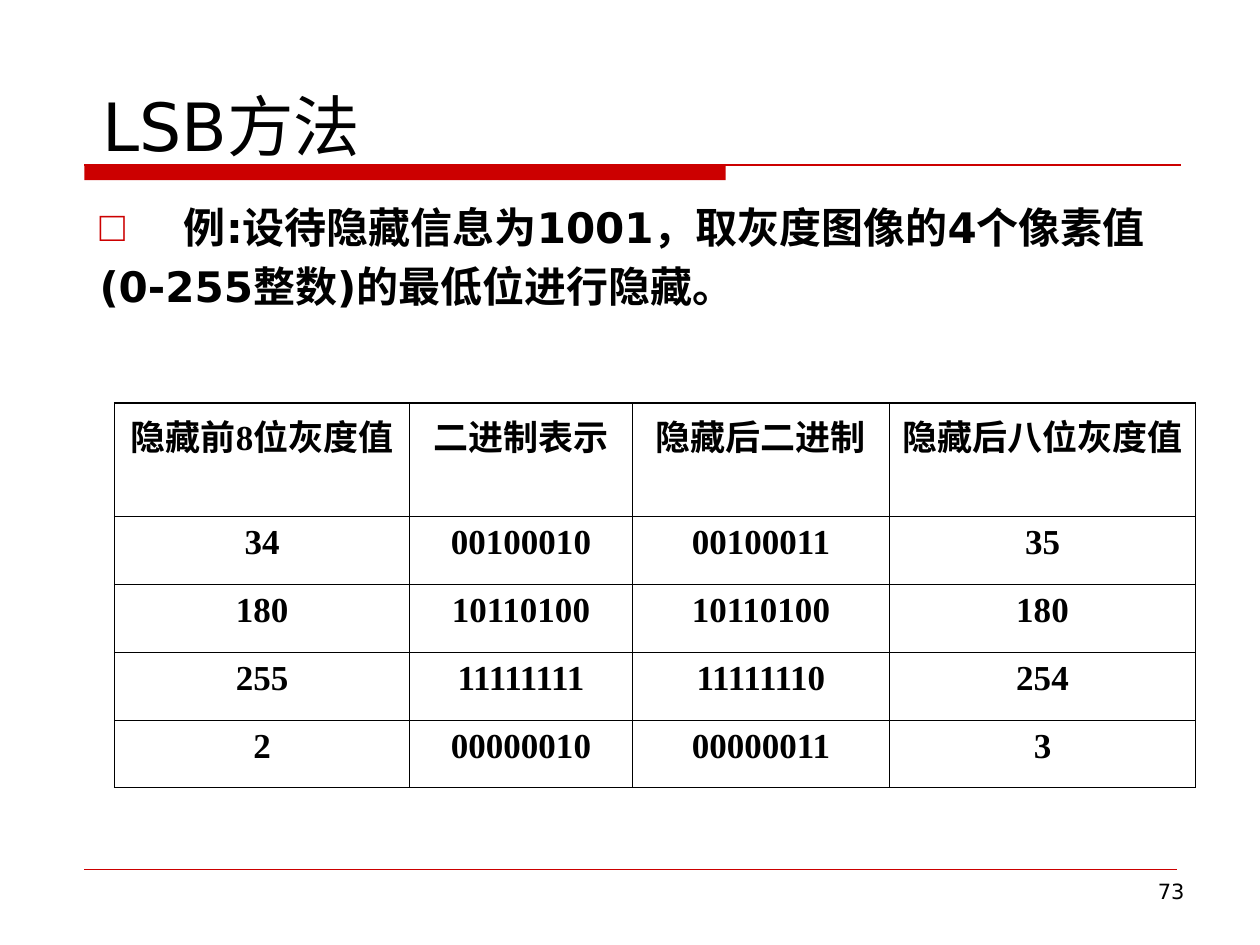
from lxml.etree import SubElement
from pptx import Presentation
from pptx.dml.color import RGBColor
from pptx.enum.shapes import MSO_CONNECTOR as Connector, MSO_SHAPE as Shape
from pptx.enum.text import MSO_ANCHOR as Anchor, MSO_AUTO_SIZE as AutoSize, PP_ALIGN as Align
from pptx.oxml.ns import qn
from pptx.util import Inches, Pt

BLACK, RED = "000000", "CC0000"
SANS, SERIF = "DejaVu Sans", "Times New Roman"


def color(value):
    return RGBColor.from_string(value)


class SlideBuilder:
    """Holds the style and the current slide, and adds each kind of element."""

    def __init__(self, page):
        self.page = page

    def place(self, shape, left, top, width, height):
        shape.left, shape.top = Inches(left), Inches(top)
        shape.width, shape.height = Inches(width), Inches(height)

    def style(self, para, size, font=SANS, bold=False, align=Align.LEFT):
        para.alignment = align
        for span in para.runs:
            span.font.size, span.font.name, span.font.bold = Pt(size), font, bold
            span.font.color.rgb = color(BLACK)

    def hang(self, para, indent):
        properties = para._p.get_or_add_pPr()
        properties.set("marL", str(Inches(indent)))
        properties.set("indent", str(-Inches(indent)))
        return properties

    def bar(self, left, top, width, height):
        shape = self.page.shapes.add_shape(
            Shape.RECTANGLE, Inches(left), Inches(top), Inches(width), Inches(height))
        shape.shadow.inherit = False
        shape.fill.solid()
        shape.fill.fore_color.rgb = color(RED)
        shape.line.fill.background()

    def rule(self, left, right, y, weight):
        line = self.page.shapes.add_connector(
            Connector.STRAIGHT, Inches(left), Inches(y), Inches(right), Inches(y))
        line.line.color.rgb = color(RED)
        line.line.width = Pt(weight)
        SubElement(line._element.spPr, qn("a:effectLst"))

    def title(self, text, *area):
        shape = self.page.shapes.title
        self.place(shape, *area)
        frame = shape.text_frame
        frame.text = text
        frame.auto_size, frame.vertical_anchor = AutoSize.NONE, Anchor.BOTTOM
        self.style(frame.paragraphs[0], 38)

    def body(self, lines, *area):
        shape = self.page.placeholders[1]
        self.place(shape, *area)
        frame = shape.text_frame
        frame.text = "\n".join(lines)
        frame.auto_size = AutoSize.NONE
        for index, para in enumerate(frame.paragraphs):
            properties = self.hang(para, 0.67)
            para.space_before = Pt(5 if index else 0)
            if index:
                SubElement(properties, qn("a:buNone"))
            else:
                tint = SubElement(properties, qn("a:buClr"))
                SubElement(tint, qn("a:srgbClr"), val=RED)
                SubElement(properties, qn("a:buChar"), char="□")
            self.style(para, 24, bold=True)

    def page_number(self, text, *area):
        box = self.page.shapes.add_textbox(*map(Inches, area))
        box.text_frame.word_wrap = True
        box.text_frame.text = text
        self.style(box.text_frame.paragraphs[0], 12, align=Align.RIGHT)

    def borders(self, cell):
        properties = cell._tc.get_or_add_tcPr()
        for index, side in enumerate(("lnL", "lnR", "lnT", "lnB")):
            edge = properties.makeelement(qn(f"a:{side}"), {"w": str(Pt(1))})
            fill = SubElement(edge, qn("a:solidFill"))
            SubElement(fill, qn("a:srgbClr"), val=BLACK)
            properties.insert(index, edge)

    def table(self, rows, left, top, widths, heights):
        table = self.page.shapes.add_table(
            len(rows), len(widths), Inches(left), Inches(top),
            Inches(sum(widths)), Inches(sum(heights))).table
        for column, width in zip(table.columns, widths):
            column.width = Inches(width)
        for row, height, texts in zip(table.rows, heights, rows):
            row.height = Inches(height)
            for cell, text in zip(row.cells, texts):
                cell.text = text
                cell.fill.background()
                self.borders(cell)
                para = cell.text_frame.paragraphs[0]
                self.hang(para, 0.38)
                self.style(para, 20, SERIF, True, Align.CENTER)


def main():
    deck = Presentation()
    deck.slide_width, deck.slide_height = Inches(10), Inches(7.5)
    builder = SlideBuilder(deck.slides.add_slide(deck.slide_layouts[1]))
    builder.bar(0.67, 1.31, 5.09, 0.12)
    builder.rule(0.67, 9.37, 1.31, 0.75)
    builder.rule(0.67, 9.34, 6.9, 0.25)
    builder.page_number("73", 7.42, 6.92, 2.08, 0.5)
    builder.body(["例:设待隐藏信息为1001，取灰度图像的4个像素值",
                  "(0-255整数)的最低位进行隐藏。"], 0.69, 1.55, 8.62, 4.69)
    builder.table([
        ["隐藏前8位灰度值", "二进制表示", "隐藏后二进制", "隐藏后八位灰度值"],
        ["34", "00100010", "00100011", "35"],
        ["180", "10110100", "10110100", "180"],
        ["255", "11111111", "11111110", "254"],
        ["2", "00000010", "00000011", "3"],
    ], 0.91, 3.2, [2.34, 1.77, 2.04, 2.43], [0.9, 0.54, 0.54, 0.54, 0.53])
    builder.title("LSB方法", 0.71, 0.76, 8.5, 0.6)
    deck.save("out.pptx")


if __name__ == "__main__":
    main()
